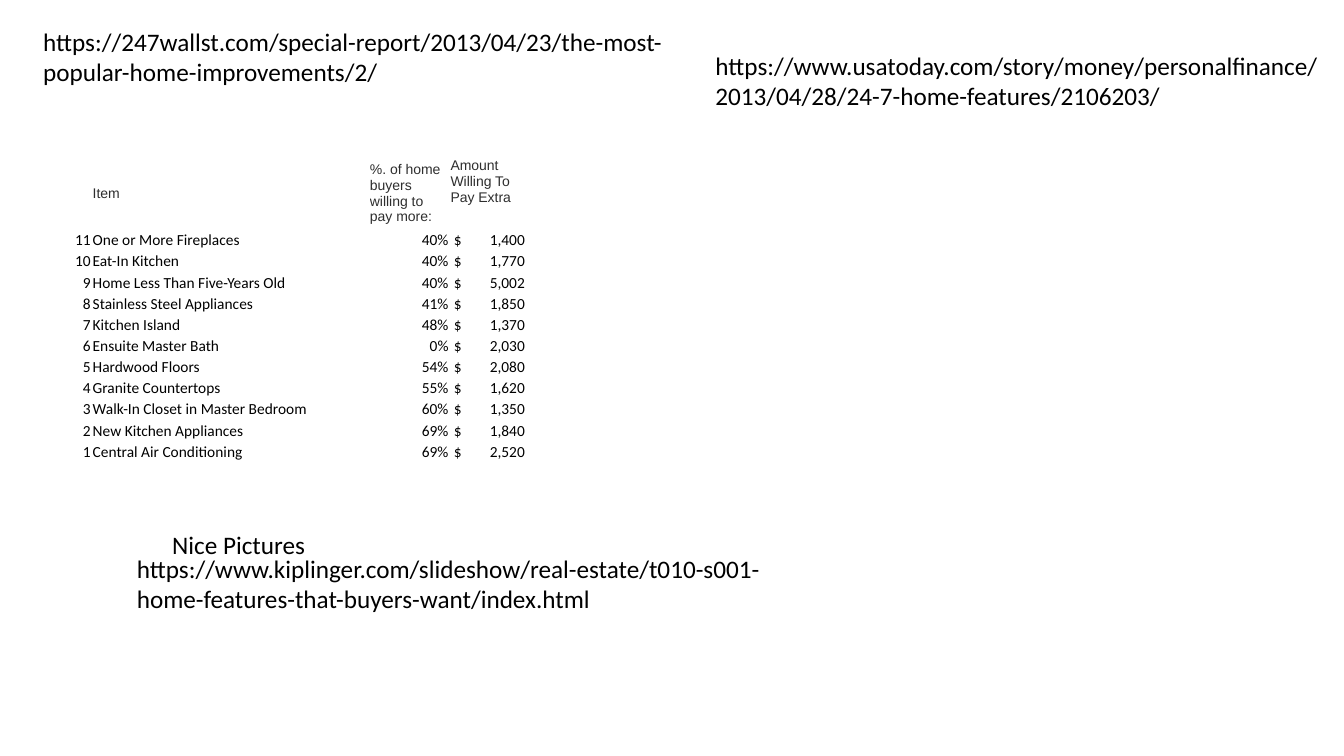
from lxml import etree
from pptx import Presentation
from pptx.dml.color import RGBColor
from pptx.enum import text
from pptx.oxml import ns
from pptx.util import Pt

BLACK = RGBColor(0x00, 0x00, 0x00)
CHARCOAL = RGBColor(0x2E, 0x2E, 0x2E)

COLUMN_WIDTHS = (17.28, 198, 57.6, 56.16)
HEADER_HEIGHT = 51.12
ROW_HEIGHT = 15.12
CELL_MARGIN = 0.72
AMOUNT_INDENT = 3.2
AMOUNT_TAB = 50.7

HEADERS = ("Item", "%. of home buyers willing to pay more:", "Amount Willing To Pay Extra")
FEATURES = (
    ("One or More Fireplaces", "40%", "1,400"),
    ("Eat-In Kitchen", "40%", "1,770"),
    ("Home Less Than Five-Years Old", "40%", "5,002"),
    ("Stainless Steel Appliances", "41%", "1,850"),
    ("Kitchen Island", "48%", "1,370"),
    ("Ensuite Master Bath", "0%", "2,030"),
    ("Hardwood Floors", "54%", "2,080"),
    ("Granite Countertops", "55%", "1,620"),
    ("Walk-In Closet in Master Bedroom", "60%", "1,350"),
    ("New Kitchen Appliances", "69%", "1,840"),
    ("Central Air Conditioning", "69%", "2,520"),
)
LINKS = (
    ("https://247wallst.com/special-report/2013/04/23/the-most-popular-home-improvements/2/",
     (23.76, 15.12, 479.52, 51.12)),
    ("https://www.usatoday.com/story/money/personalfinance/2013/04/28/24-7-home-features/2106203/",
     (504, 32.4, 479.52, 51.12)),
    ("https://www.kiplinger.com/slideshow/real-estate/t010-s001-home-features-that-buyers-want/index.html",
     (90.72, 391.68, 491.76, 51.12)),
)


def write_text(frame, content, size=18, font="Calibri", color=BLACK,
               align=text.PP_ALIGN.LEFT, right_tab=None):
    paragraph = frame.paragraphs[0]
    paragraph.alignment = align
    if right_tab is not None:
        properties = paragraph._p.get_or_add_pPr()
        tabs = etree.SubElement(properties, ns.qn("a:tabLst"))
        etree.SubElement(tabs, ns.qn("a:tab"), pos=str(Pt(right_tab)), algn="r")
    run = paragraph.add_run()
    run.text = content
    run.font.size = Pt(size)
    run.font.name = font
    run.font.color.rgb = color


def add_label(slide, content, box, wrap=True):
    frame = slide.shapes.add_textbox(*map(Pt, box)).text_frame
    frame.word_wrap = wrap
    frame.auto_size = text.MSO_AUTO_SIZE.SHAPE_TO_FIT_TEXT
    write_text(frame, content)


def fill_cell(cell, content, anchor, margin_left=CELL_MARGIN, **text_format):
    cell.vertical_anchor = anchor
    cell.margin_left = Pt(margin_left)
    cell.margin_right = cell.margin_top = Pt(CELL_MARGIN)
    cell.margin_bottom = 0
    write_text(cell.text_frame, content, **text_format)


def add_feature_table(slide, left, top):
    height = HEADER_HEIGHT + ROW_HEIGHT * len(FEATURES)
    table = slide.shapes.add_table(
        len(FEATURES) + 1, len(COLUMN_WIDTHS),
        Pt(left), Pt(top), Pt(sum(COLUMN_WIDTHS)), Pt(height)).table
    table.first_row = table.horz_banding = False
    for column, width in zip(table.columns, COLUMN_WIDTHS):
        column.width = Pt(width)
    for row in table.rows:
        row.height = Pt(ROW_HEIGHT)
    table.rows[0].height = Pt(HEADER_HEIGHT)
    for cell in table.iter_cells():
        cell.fill.background()

    middle, bottom = text.MSO_ANCHOR.MIDDLE, text.MSO_ANCHOR.BOTTOM
    anchors = (middle, middle, text.MSO_ANCHOR.TOP)
    for column, (header, anchor) in enumerate(zip(HEADERS, anchors), 1):
        fill_cell(table.cell(0, column), header, anchor,
                  size=10, font="Arial", color=CHARCOAL)

    right = text.PP_ALIGN.RIGHT
    for row, (item, share, amount) in enumerate(FEATURES, 1):
        rank = len(FEATURES) + 1 - row
        fill_cell(table.cell(row, 0), str(rank), bottom, size=11, align=right)
        fill_cell(table.cell(row, 1), item, bottom, size=11)
        fill_cell(table.cell(row, 2), share, bottom, size=11, align=right)
        fill_cell(table.cell(row, 3), f"$\t{amount}", bottom, size=11,
                  margin_left=AMOUNT_INDENT, right_tab=AMOUNT_TAB)


def main():
    presentation = Presentation()
    presentation.slide_width, presentation.slide_height = Pt(960), Pt(540)
    slide = presentation.slides.add_slide(presentation.slide_layouts[6])
    add_feature_table(slide, 48.24, 112.32)
    for address, box in LINKS:
        add_label(slide, address, box)
    add_label(slide, "Nice Pictures", (115.92, 374.4, 110.16, 28.8), wrap=False)
    presentation.save("out.pptx")


if __name__ == "__main__":
    main()
